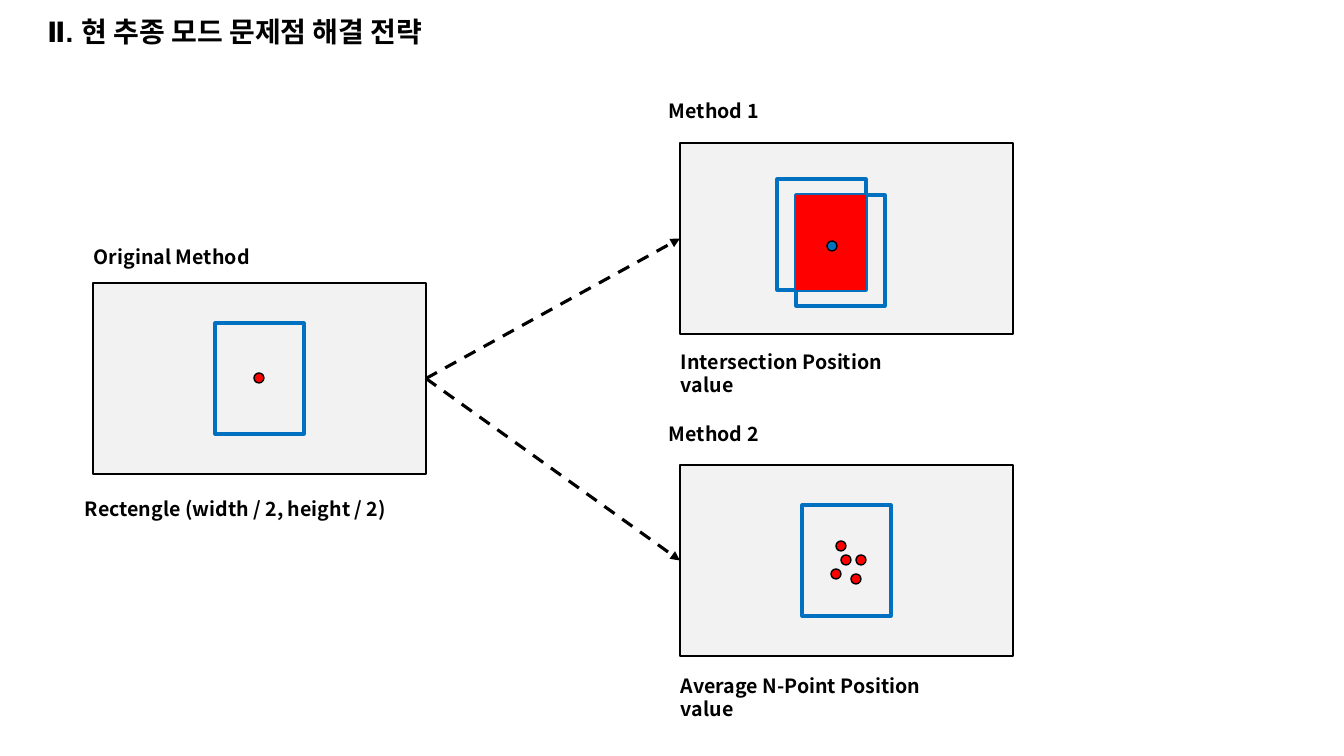
from dataclasses import dataclass

from lxml import etree
from pptx import Presentation
from pptx.dml.color import RGBColor
from pptx.enum.dml import MSO_LINE
from pptx.enum.shapes import MSO_CONNECTOR, MSO_SHAPE
from pptx.enum.text import MSO_ANCHOR, MSO_AUTO_SIZE, PP_ALIGN
from pptx.oxml.ns import qn
from pptx.util import Emu, Pt

RECT, OVAL = MSO_SHAPE.RECTANGLE, MSO_SHAPE.OVAL
STRAIGHT, DASH = MSO_CONNECTOR.STRAIGHT, MSO_LINE.DASH
LEFT, TOP, MIDDLE = PP_ALIGN.LEFT, MSO_ANCHOR.TOP, MSO_ANCHOR.MIDDLE
FIXED = MSO_AUTO_SIZE.NONE
SCALE = 914400 / 100.8
LEFT_SITE, RIGHT_SITE = 1, 3


@dataclass(frozen=True)
class Theme:
    ink: str = "000000"
    panel: str = "F2F2F2"
    blue: str = "0070C0"
    red: str = "FF0000"
    head: str = "Arial"
    body: str = "Noto Sans CJK KR"
    title: float = 20
    label: float = 14
    pitch: float = 16.5
    thin: float = 1
    thick: float = 2.25


@dataclass(frozen=True)
class Box:
    x: int
    y: int
    w: int
    h: int

    def shift(self, x: int, y: int) -> "Box":
        return Box(self.x + x, self.y + y, self.w, self.h)

    def overlap(self, other: "Box") -> "Box":
        x, y = max(self.x, other.x), max(self.y, other.y)
        right = min(self.x + self.w, other.x + other.w)
        base = min(self.y + self.h, other.y + other.h)
        return Box(x, y, right - x, base - y)

    def emu(self) -> list[Emu]:
        return [px(n) for n in (self.x, self.y, self.w, self.h)]


@dataclass(frozen=True)
class Panel:
    x: int
    y: int
    frames: tuple[tuple[int, int], ...]
    dots: tuple[tuple[int, int], ...]
    dot: str


@dataclass(frozen=True)
class Label:
    text: str
    x: int
    y: int
    w: int


THEME = Theme()
PANEL = Box(0, 0, 333, 191)
FRAME = Box(0, 0, 89, 111)
DOT = Box(-5, -5, 10, 10)
MID = (PANEL.w // 2, PANEL.h // 2)
INSET = ((PANEL.w - FRAME.w) // 2, (PANEL.h - FRAME.h) // 2)

BASE = Panel(93, 283, (INSET,), (MID,), THEME.red)
METHODS = (
    Panel(680, 143, ((97, 36), (116, 52)), ((152, 103),), THEME.blue),
    Panel(680, 465, (INSET,),
          (MID, (156, 109), (161, 81), (176, 114), (181, 95)), THEME.red),
)
LABELS = (
    Label("Original Method", 84, 240, 180),
    Label("Rectengle (width / 2, height / 2)", 75, 492, 335),
    Label("Method 1", 659, 94, 120),
    Label("Intersection Position value", 671, 345, 260),
    Label("Method 2", 659, 417, 120),
    Label("Average N-Point Position value", 671, 669, 300),
)


def px(n: float) -> Emu:
    return Emu(round(n * SCALE))


def write(shape, text: str, *, size: float, font: str, anchor,
          spacing: float | Pt) -> None:
    frame = shape.text_frame
    frame.word_wrap = True
    frame.auto_size = FIXED
    frame.vertical_anchor = anchor
    para = frame.paragraphs[0]
    para.alignment = LEFT
    para.line_spacing = spacing
    run = para.add_run()
    run.text = text
    run.font.name = font
    run.font.size = Pt(size)
    run.font.bold = True
    run.font.color.rgb = RGBColor.from_string(THEME.ink)
    east = etree.SubElement(run.font._element, qn("a:ea"))
    east.set("typeface", THEME.body)


def draw(shapes, kind, box: Box, *, fill: str = "", line: str = "",
         width: float = THEME.thin):
    shape = shapes.add_shape(kind, *box.emu())
    shape.shadow.inherit = False
    if fill:
        shape.fill.solid()
        shape.fill.fore_color.rgb = RGBColor.from_string(fill)
    else:
        shape.fill.background()
    if line:
        shape.line.color.rgb = RGBColor.from_string(line)
        shape.line.width = Pt(width)
    else:
        shape.line.fill.background()
    return shape


def add_panel(slide, panel: Panel):
    shapes = slide.shapes.add_group_shape().shapes
    back = draw(shapes, RECT, PANEL.shift(panel.x, panel.y),
                fill=THEME.panel, line=THEME.ink)
    frames = [FRAME.shift(panel.x + x, panel.y + y) for x, y in panel.frames]
    for frame in frames:
        draw(shapes, RECT, frame, line=THEME.blue, width=THEME.thick)
    if len(frames) == 2:
        draw(shapes, RECT, frames[0].overlap(frames[1]), fill=THEME.red)
    for x, y in panel.dots:
        draw(shapes, OVAL, DOT.shift(panel.x + x, panel.y + y),
             fill=panel.dot, line=THEME.ink)
    return back


def add_arrow(slide, start, end) -> None:
    arrow = slide.shapes.add_connector(STRAIGHT, 0, 0, 0, 0)
    arrow.begin_connect(start, RIGHT_SITE)
    arrow.end_connect(end, LEFT_SITE)
    arrow.line.color.rgb = RGBColor.from_string(THEME.ink)
    arrow.line.width = Pt(THEME.thick)
    arrow.line.dash_style = DASH
    props = arrow._element.spPr
    tail = etree.SubElement(props.find(qn("a:ln")), qn("a:tailEnd"))
    tail.set("type", "triangle")
    etree.SubElement(props, qn("a:effectLst"))


def add_label(slide, label: Label) -> None:
    box = Box(label.x, label.y, label.w, 34)
    write(slide.shapes.add_textbox(*box.emu()), label.text, size=THEME.label,
          font=THEME.body, anchor=TOP, spacing=Pt(THEME.pitch))


def main() -> None:
    deck = Presentation()
    deck.slide_width, deck.slide_height = px(1344), px(756)
    slide = deck.slides.add_slide(deck.slide_layouts[5])
    title = slide.shapes.title
    title.left, title.top, title.width, title.height = Box(37, 5, 921, 57).emu()
    write(title, "Ⅱ. 현 추종 모드 문제점 해결 전략", size=THEME.title,
          font=THEME.head, anchor=MIDDLE, spacing=0.9)
    base = add_panel(slide, BASE)
    for method in METHODS:
        add_arrow(slide, base, add_panel(slide, method))
    for label in LABELS:
        add_label(slide, label)
    deck.save("out.pptx")


main()
